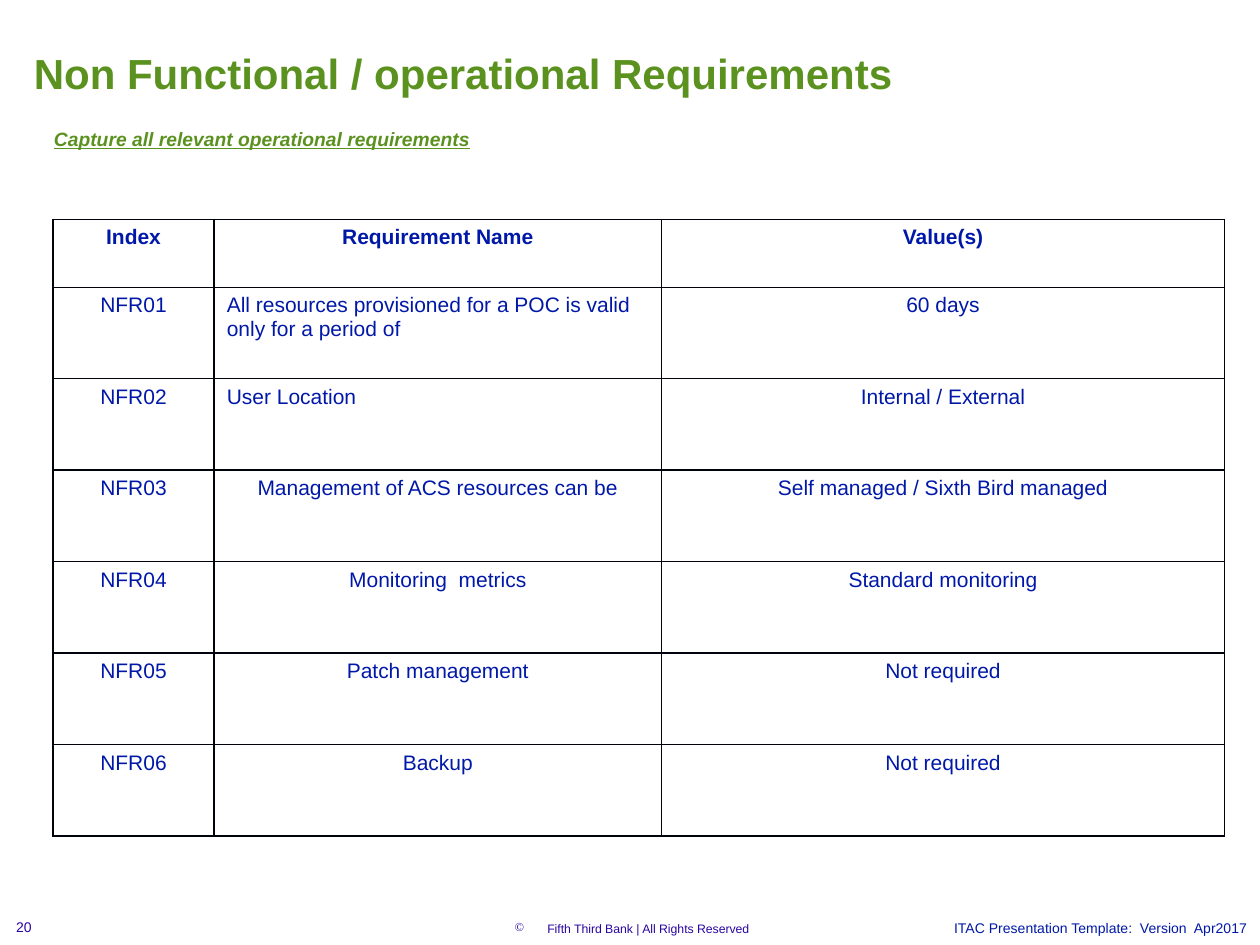
from lxml.etree import SubElement
from pptx import Presentation
from pptx.dml.color import RGBColor
from pptx.enum.text import MSO_ANCHOR, PP_ALIGN as Align
from pptx.oxml.ns import qn
from pptx.util import Inches, Pt

GREEN, BLUE, VIOLET, INK = "5B921F", "0018A8", "2905A1", "00020C"
COLUMNS, ROWS = 100, 75

HEADER = ["Index", "Requirement Name", "Value(s)"]
REQUIREMENTS = [
    ("All resources provisioned for a POC is valid only for a period of", "60 days"),
    ("User Location", "Internal / External"),
    ("Management of ACS resources can be", "Self managed / Sixth Bird managed"),
    ("Monitoring  metrics", "Standard monitoring"),
    ("Patch management", "Not required"),
    ("Backup", "Not required"),
]
LEFT_ALIGNED_ROWS = (1, 2)


def color(value):
    return RGBColor.from_string(value)


def write(tf, text, size=12, fill=BLUE, align=Align.LEFT, bold=False,
          italic=False, underline=False, bullet=None, indent=0):
    tf.word_wrap = True
    p = tf.paragraphs[0]
    p.alignment = align
    if bullet:
        props = p._p.get_or_add_pPr()
        props.set("marL", str(indent))
        props.set("indent", str(-indent))
        SubElement(props, qn("a:buChar"), char=bullet)
    r = p.add_run()
    r.text = text
    font = r.font
    font.name, font.size = "Arial", Pt(size)
    font.bold, font.italic, font.underline = bold, italic, underline
    font.color.rgb = color(fill)


def outline(cell, line, width=1):
    """Draw all four borders of a table cell."""
    props = cell._tc.get_or_add_tcPr()
    for i, side in enumerate(("lnL", "lnR", "lnT", "lnB")):
        ln = props.makeelement(qn(f"a:{side}"), {"w": str(Pt(width))})
        solid = SubElement(ln, qn("a:solidFill"))
        SubElement(solid, qn("a:srgbClr"), val=line)
        props.insert(i, ln)


class Deck:
    """Places elements on a grid of COLUMNS by ROWS over the slide."""

    def __init__(self, width=10, height=7.5):
        self.prs = Presentation()
        self.prs.slide_width, self.prs.slide_height = Inches(width), Inches(height)
        self.s = self.prs.slides.add_slide(self.prs.slide_layouts[6])

    def x(self, columns):
        return round(self.prs.slide_width * columns / COLUMNS)

    def y(self, rows):
        return round(self.prs.slide_height * rows / ROWS)

    def place(self, left, top, width, height):
        return self.x(left), self.y(top), self.x(width), self.y(height)

    def text(self, text, *at, **style):
        tf = self.s.shapes.add_textbox(*self.place(*at)).text_frame
        write(tf, text, **style)

    def table(self, rows, left, top, widths, heights):
        at = self.place(left, top, sum(widths), sum(heights))
        table = self.s.shapes.add_table(len(rows), len(widths), *at).table
        table.horz_banding = False
        for column, width in zip(table.columns, widths):
            column.width = self.x(width)
        for i, (row, height) in enumerate(zip(rows, heights)):
            table.rows[i].height = self.y(height)
            for j, text in enumerate(row):
                cell = table.cell(i, j)
                cell.vertical_anchor = MSO_ANCHOR.TOP
                cell.fill.background()
                outline(cell, INK)
                left_aligned = j == 1 and i in LEFT_ALIGNED_ROWS
                write(cell.text_frame, text, bold=i == 0,
                      align=Align.LEFT if left_aligned else Align.CENTER)


def main():
    deck = Deck()
    deck.text("Non Functional / operational Requirements", 1.7, 3.3, 75.8, 5,
              size=24, fill=GREEN, bold=True)
    deck.text("Capture all relevant operational requirements", 3.3, 9.6, 80, 2.9,
              size=11, fill=GREEN, bold=True, italic=True, underline=True)

    rows = [HEADER] + [(f"NFR{n:02}", *requirement)
                       for n, requirement in enumerate(REQUIREMENTS, 1)]
    deck.table(rows, 4.2, 17.4, widths=[12.8, 35.5, 44.7],
               heights=[5.4] + [7.26] * len(REQUIREMENTS))

    deck.text("20", 0.3, 72.4, 3.4, 2.3, size=8, fill=VIOLET)
    deck.text("Fifth Third Bank | All Rights Reserved", 2.9, 72.6, 94.5, 2.2,
              size=7, fill=VIOLET, align=Align.CENTER, bullet="©", indent=deck.x(2.6))
    deck.text("ITAC Presentation Template:  Version  Apr2017", 69, 72.5, 31, 2.4,
              size=8, align=Align.RIGHT)
    deck.prs.save("out.pptx")


if __name__ == "__main__":
    main()
